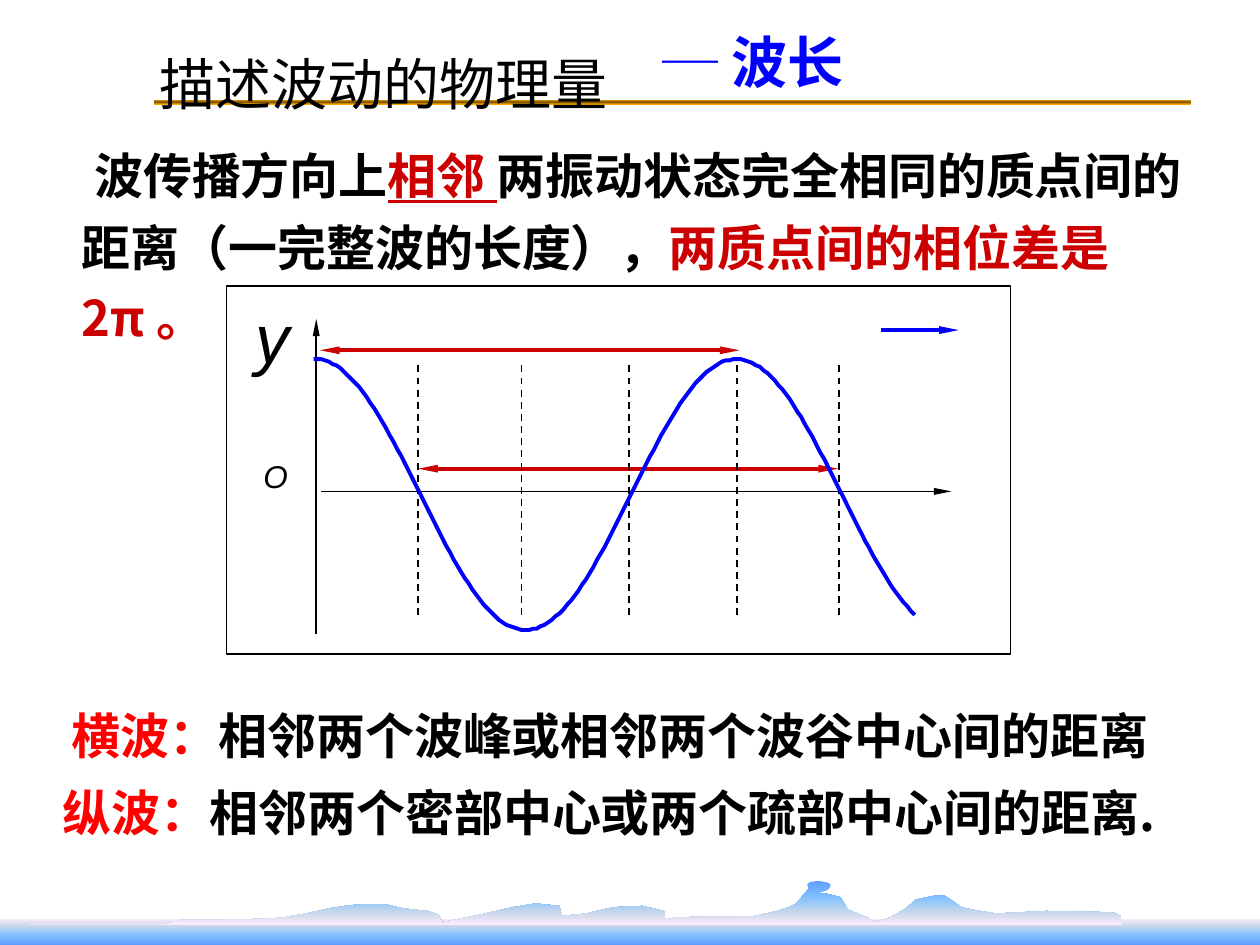
import math
from lxml import etree
from pptx import Presentation
from pptx import util as u
from pptx.dml import color
from pptx.enum import dml, shapes, text
from pptx.oxml import ns

PX = 9144
SANS = "Noto Sans CJK SC"
BLACK, RED, BRIGHT, BLUE = "000000", "CC0000", "FF0000", "0000FF"


def rgb(value):
    return color.RGBColor.from_string(value)


def add(parent, tag, **attributes):
    return etree.SubElement(parent, ns.qn(tag), attributes)


deck = Presentation()
deck.slide_width, deck.slide_height = 1000 * PX, 750 * PX
slide = deck.slides.add_slide(deck.slide_layouts[6])
items = slide.shapes

ridge_points = [
    (23, 734), (130, 734), (143, 730), (178, 730), (214, 729), (226, 728), (243, 725),
    (261, 721), (274, 719), (283, 718), (307, 718), (320, 721), (339, 723), (348, 726),
    (351, 732), (381, 726), (394, 723), (407, 720), (425, 717), (444, 719), (446, 727),
    (465, 725), (487, 720), (510, 719), (527, 723), (528, 730), (537, 728), (589, 727),
    (599, 727), (617, 723), (626, 720), (632, 717), (642, 705), (641, 702), (643, 700),
    (650, 699), (658, 701), (659, 703), (657, 706), (651, 708), (641, 709), (655, 709),
    (667, 712), (673, 722), (688, 728), (695, 732), (707, 728), (719, 721), (727, 714),
    (736, 712), (741, 711), (750, 711), (756, 715), (763, 720), (772, 722), (790, 725),
    (830, 723), (883, 724), (889, 727), (891, 734),
]
builder = items.build_freeform(*ridge_points[0], scale=PX)
builder.add_line_segments(ridge_points[1:], close=True)

rule = items.add_shape(shapes.MSO_SHAPE.RECTANGLE, 122 * PX, 79 * PX, 823 * PX, 4 * PX)
sea = items.add_shape(shapes.MSO_SHAPE.RECTANGLE, 0, 729 * PX, 1000 * PX, 21 * PX)
ridge = builder.convert_to_shape()
for shape, stops in [
    (rule, [(0, "FFA800"), (50, "825600"), (100, "FFA800")]),
    (sea, [(0, "FFEBFA"), (30, "C4D6EB"), (60, "85C2FF"), (100, "5E9EFF")]),
    (ridge, [(0, "5E9EFF"), (40, "85C2FF"), (70, "C4D6EB"), (100, "FFEBFA")]),
]:
    shape.shadow.inherit = False
    shape.line.fill.background()
    shape.fill.gradient()
    shape.fill.gradient_angle = 270
    stop_list = next(shape._element.iter(ns.qn("a:gsLst")))
    for old in list(stop_list):
        stop_list.remove(old)
    for place, value in stops:
        stop = add(stop_list, "a:gs", pos=str(place * 1000))
        add(stop, "a:srgbClr", val=value)

frame = items.add_shape(shapes.MSO_SHAPE.RECTANGLE, 180 * PX, 227 * PX, 622 * PX, 292 * PX)
frame.shadow.inherit = False
frame.fill.solid()
frame.fill.fore_color.rgb = rgb("FFFFFF")
frame.line.color.rgb = rgb(BLACK)
frame.line.width = u.Pt(0.75)

lines = [
    ((254, 278, 587, 278), RED, 2.25, ["a:headEnd", "a:tailEnd"]),
    ((699, 262, 761, 262), BLUE, 2.25, ["a:tailEnd"]),
    ((251, 503, 251, 253), BLACK, 1, ["a:tailEnd"]),
    ((255, 390, 755, 390), BLACK, 1, ["a:tailEnd"]),
    ((332, 372, 665, 372), RED, 2.25, ["a:headEnd", "a:tailEnd"]),
]
lines += [((x, 290, x, 490), BLACK, 1, []) for x in (332, 414, 499, 585, 666)]
for ends, value, width, arrows in lines:
    line = items.add_connector(shapes.MSO_CONNECTOR.STRAIGHT, *[end * PX for end in ends])
    line.line.color.rgb = rgb(value)
    line.line.width = u.Pt(width)
    if not arrows:
        line.line.dash_style = dml.MSO_LINE.DASH
    for arrow in arrows:
        add(line.line._get_or_add_ln(), arrow, type="triangle", w="sm", len="lg")
    add(line._element.spPr, "a:effectLst")

wave_points = [
    (x, 392.5 - 107.5 * math.cos(2 * math.pi * (x - 250) / 334.5)) for x in range(249, 727, 3)
]
builder = items.build_freeform(*wave_points[0], scale=PX)
builder.add_line_segments(wave_points[1:], close=False)
wave = builder.convert_to_shape()
wave.shadow.inherit = False
wave.fill.background()
wave.line.color.rgb = rgb(BLUE)
wave.line.width = u.Pt(2.25)

label = {"name": "Arial", "italic": True}
heading = {"name": SANS, "size": u.Pt(32)}
body = {"name": SANS, "size": u.Pt(28), "bold": True}
texts = [
    ((209, 363, 28, 47), 0, 1, [("O", BLACK, {**label, "size": u.Pt(18)})]),
    ((203, 234, 31, 65), 0, 1, [("y", BLACK, {**label, "size": u.Pt(39)})]),
    ((55, 94, 914, 131), None, 1.2, [
        (" ", "FFFF07", {"name": "Arial", "size": u.Pt(32)}),
        ("波传播方向上", BLACK, body),
        ("相邻 ", RED, {**body, "underline": True}),
        ("两振动状态完全相同的质点间的距离（一完整波的长度），", BLACK, body),
        ("两质点间的相位差是2π 。", RED, body),
    ]),
    ((516, 23, 225, 59), None, 0.9, [("─ 波长", BLUE, {**heading, "bold": True})]),
    ((117, 16, 438, 72), None, 1.35, [("描述波动的物理量", BLACK, heading)]),
    ((47, 555, 915, 57), None, 1, [
        ("横波：", BRIGHT, body),
        ("相邻两个波峰或相邻两个波谷中心间的距离", BLACK, body),
    ]),
    ((40, 616, 915, 57), None, 1, [
        ("纵波：", BRIGHT, body),
        ("相邻两个密部中心或两个疏部中心间的距离.", BLACK, body),
    ]),
]
for place, inset, spacing, spans in texts:
    box = items.add_textbox(*[length * PX for length in place])
    box.text_frame.word_wrap = True
    box.text_frame.vertical_anchor = text.MSO_ANCHOR.TOP
    if inset is not None:
        for side in ("left", "top", "right", "bottom"):
            setattr(box.text_frame, f"margin_{side}", inset)
    para = box.text_frame.paragraphs[0]
    para.line_spacing = spacing
    for words, value, style in spans:
        span = para.add_run()
        span.text = words
        span.font.color.rgb = rgb(value)
        for key, setting in style.items():
            setattr(span.font, key, setting)
        add(span._r.get_or_add_rPr(), "a:ea", typeface=SANS)

deck.save("out.pptx")
